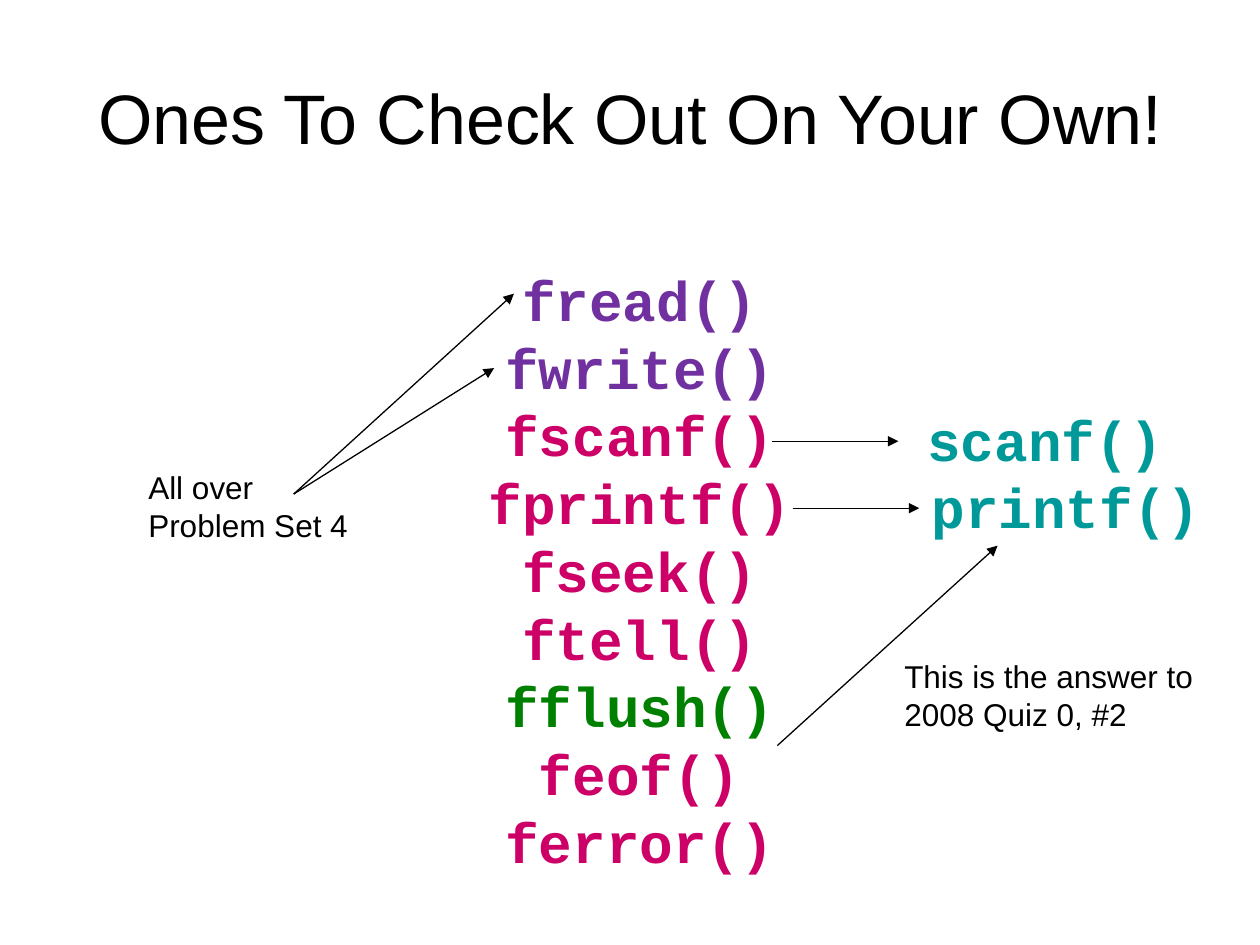
from pptx import Presentation
from pptx.dml.color import RGBColor
from pptx.enum.shapes import MSO_CONNECTOR
from pptx.enum.text import MSO_ANCHOR, PP_ALIGN
from pptx.oxml.ns import qn
from pptx.util import Cm, Pt
from lxml.etree import SubElement

BLACK = RGBColor(0x00, 0x00, 0x00)
PURPLE = RGBColor(0x70, 0x30, 0xA0)
PINK = RGBColor(0xCC, 0x00, 0x66)
GREEN = RGBColor(0x00, 0x80, 0x00)
TEAL = RGBColor(0x00, 0x99, 0x99)

FILE_FUNCTIONS = [
    ("fread()", PURPLE),
    ("fwrite()", PURPLE),
    ("fscanf()", PINK),
    ("fprintf()", PINK),
    ("fseek()", PINK),
    ("ftell()", PINK),
    ("fflush()", GREEN),
    ("feof()", PINK),
    ("ferror()", PINK),
]


def style_paragraph(para, font_name, size, color, bold=False, align=PP_ALIGN.LEFT):
    para.alignment = align
    for span in para.runs:
        span.font.name = font_name
        span.font.size = Pt(size)
        span.font.bold = bold
        span.font.color.rgb = color


def add_text(page, left, top, width, height):
    box = page.shapes.add_textbox(Cm(left), Cm(top), Cm(width), Cm(height))
    box.text_frame.word_wrap = True
    return box.text_frame


def add_arrow(page, start, end):
    arrow = page.shapes.add_connector(
        MSO_CONNECTOR.STRAIGHT, *(Cm(value) for value in start + end)
    )
    arrow.line.color.rgb = BLACK
    arrow.line.width = Pt(0.75)
    SubElement(arrow.line._get_or_add_ln(), qn("a:tailEnd"), type="triangle")
    SubElement(arrow._element.spPr, qn("a:effectLst"))


def place_title(page, left, top, width, height):
    title = page.shapes.title
    title.left, title.top = Cm(left), Cm(top)
    title.width, title.height = Cm(width), Cm(height)
    title.text_frame.text = "Ones To Check Out On Your Own!"
    title.text_frame.vertical_anchor = MSO_ANCHOR.MIDDLE
    style_paragraph(
        title.text_frame.paragraphs[0], "Arial", 40, BLACK, align=PP_ALIGN.CENTER
    )


def place_function_list(page, left, top, width, height):
    frame = add_text(page, left, top, width, height)
    frame.margin_top = Cm(0.4)
    frame.text = "\n".join(name for name, color in FILE_FUNCTIONS)
    for index, (name, color) in enumerate(FILE_FUNCTIONS):
        para = frame.paragraphs[index]
        style_paragraph(para, "Courier New", 32, color, True, PP_ALIGN.CENTER)
        para.line_spacing = 0.8
        para.space_before = Pt(8 if index else 0)


def place_counterpart(page, name, left, top, width=7.42, height=1.63):
    frame = add_text(page, left, top, width, height)
    frame.text = name
    style_paragraph(
        frame.paragraphs[0], "Courier New", 32, TEAL, True, PP_ALIGN.CENTER
    )
    arrow_y = top + height / 2 + 0.03
    add_arrow(page, (left - 1.8, arrow_y), (left + 0.75, arrow_y))


def place_note(page, text, left, top, width, arrow_start, arrow_ends):
    frame = add_text(page, left, top, width, 1.78)
    frame.text = text
    style_paragraph(frame.paragraphs[0], "Arial", 18, BLACK)
    start_x, start_y = arrow_start
    for end_x, end_y in arrow_ends:
        add_arrow(
            page,
            (left + start_x, top + start_y),
            (left + end_x, top + end_y),
        )


def main():
    deck = Presentation()
    deck.slide_width, deck.slide_height = Cm(25.4), Cm(19.05)
    page = deck.slides.add_slide(deck.slide_layouts[5])
    place_title(page, 1.27, 0.76, 22.86, 3.18)
    place_function_list(page, 9.09, 5.21, 7.62, 12.57)
    place_counterpart(page, "scanf()", 17.36, 8.05)
    place_counterpart(page, "printf()", 17.78, 9.4)
    place_note(
        page, "This is the answer to 2008 Quiz 0, #2",
        17.98, 13.13, 6.78, (-2.31, 1.9), [(2.13, -2.13)],
    )
    place_note(
        page, "All over Problem Set 4",
        2.74, 9.32, 4.65, (3.18, 0.64), [(7.62, -3.4), (7.22, -1.9)],
    )
    deck.save("out.pptx")


if __name__ == "__main__":
    main()
